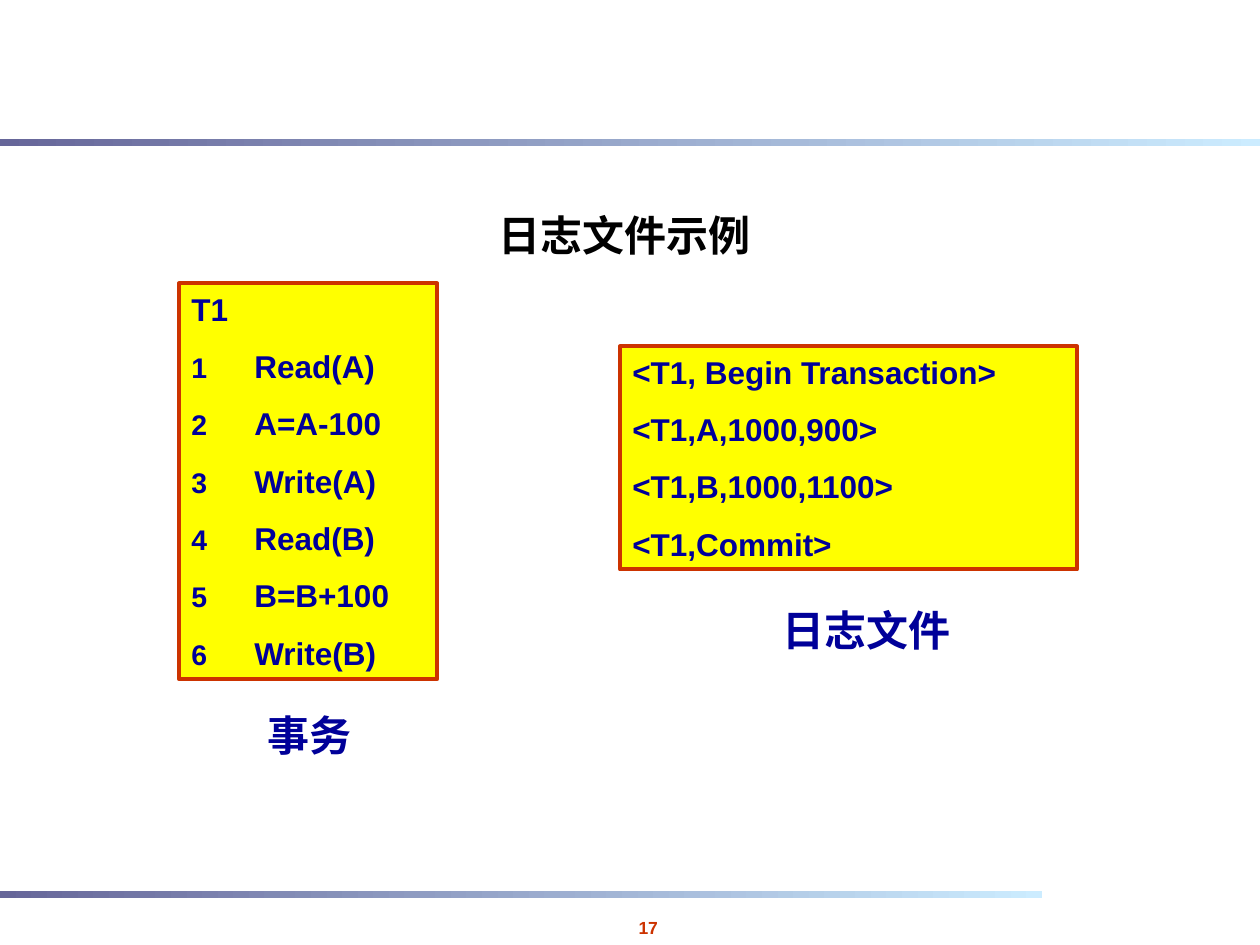
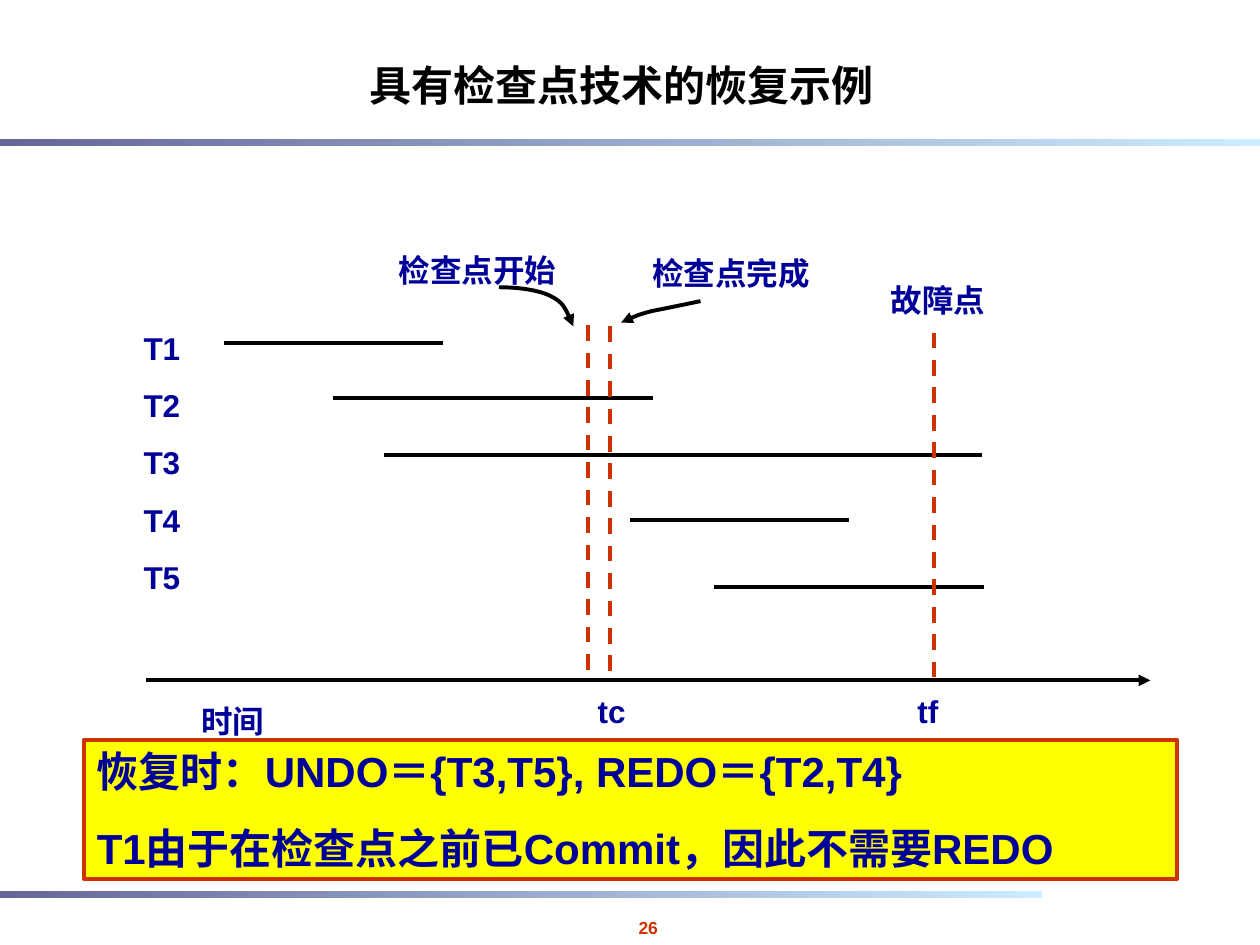
import pptx
import pptx.util
import pptx.dml.color
import pptx.enum.dml
import pptx.enum.shapes
import pptx.enum.text
import pptx.oxml
import pptx.oxml.ns
from dataclasses import dataclass

Inches = pptx.util.Inches
Pt = pptx.util.Pt
qn = pptx.oxml.ns.qn
RECT = pptx.enum.shapes.MSO_SHAPE.RECTANGLE
STRAIGHT = pptx.enum.shapes.MSO_CONNECTOR.STRAIGHT
ALIGN = pptx.enum.text.PP_ALIGN
ANCHOR = pptx.enum.text.MSO_ANCHOR
DASH = pptx.enum.dml.MSO_LINE.DASH


@dataclass(frozen=True)
class Theme:
    font: str = "Arial"
    title_font: str = "Noto Sans CJK SC"
    black: str = "000000"
    navy: str = "000099"
    red: str = "CC3300"
    yellow: str = "FFFF00"
    band_from: str = "666699"
    band_to: str = "CCECFF"
    large: int = 24
    body: int = 18
    small: int = 10
    line: float = 2.25
    gap: float = 0.62


def rgb(value):
    return pptx.dml.color.RGBColor.from_string(value)


def add_child(parent, tag, **attrs):
    child = parent.makeelement(qn(tag), attrs)
    parent.append(child)
    return child


class Deck:
    def __init__(self, theme):
        self.theme = theme
        self.prs = pptx.Presentation()
        self.prs.slide_width = Inches(10)
        self.prs.slide_height = Inches(7.5)
        self.shapes = None

    def slide(self, number, title, title_box):
        t = self.theme
        self.shapes = self.prs.slides.add_slide(self.prs.slide_layouts[6]).shapes
        self.label(str(number), (4.71, 7.23, 0.87, 0.27), t.small, t.red)
        self.band(1.1, 10)
        self.band(7.07, 8.27)
        sp = self.label(title, title_box, t.large, t.black, t.title_font)
        sp.text_frame.vertical_anchor = ANCHOR.BOTTOM

    def rect(self, box):
        sp = self.shapes.add_shape(RECT, *map(Inches, box))
        sp.shadow.inherit = False
        return sp

    def band(self, top, width):
        sp = self.rect((0, top, width, 0.06))
        sp.line.fill.background()
        sp.fill.gradient()
        sp.fill.gradient_angle = 0
        colors = (self.theme.band_from, self.theme.band_to)
        for stop, color in zip(sp.fill.gradient_stops, colors):
            stop.color.rgb = rgb(color)

    def set_text(self, sp, lines, size, color, align, font=None, numbered=False):
        tf = sp.text_frame
        tf.word_wrap = True
        tf.vertical_anchor = ANCHOR.TOP
        for i, line in enumerate(lines):
            p = tf.paragraphs[0] if i == 0 else tf.add_paragraph()
            p.text = line
            p.alignment = align
            if i:
                p.space_before = Pt(size * self.theme.gap)
            if numbered and i:
                self.number(p, color)
            p.font.name = font or self.theme.font
            p.font.size = Pt(size)
            p.font.bold = True
            p.font.color.rgb = rgb(color)

    def number(self, p, color):
        pPr = p._p.get_or_add_pPr()
        pPr.set("marL", str(Inches(0.5)))
        pPr.set("indent", str(-Inches(0.5)))
        add_child(add_child(pPr, "a:buClr"), "a:srgbClr", val=color)
        add_child(pPr, "a:buSzPct", val="90000")
        add_child(pPr, "a:buFont", typeface=self.theme.font)
        add_child(pPr, "a:buAutoNum", type="arabicPlain")

    def label(self, text, box, size=None, color=None, font=None):
        sp = self.shapes.add_textbox(*map(Inches, box))
        self.set_text(sp, text.split("\n"), size or self.theme.body,
                      color or self.theme.navy, ALIGN.CENTER, font)
        return sp

    def panel(self, lines, box, size, numbered=False):
        t = self.theme
        sp = self.rect(box)
        sp.fill.solid()
        sp.fill.fore_color.rgb = rgb(t.yellow)
        self.stroke(sp, t.red)
        self.set_text(sp, lines, size, t.navy, ALIGN.LEFT, numbered=numbered)

    def stroke(self, sp, color, arrow=False):
        sp.line.color.rgb = rgb(color)
        sp.line.width = Pt(self.theme.line)
        if arrow:
            add_child(sp._element.spPr.find(qn("a:ln")), "a:tailEnd", type="triangle")

    def line(self, start, end, color=None, dashed=False, arrow=False):
        cx = self.shapes.add_connector(STRAIGHT, *map(Inches, start + end))
        self.stroke(cx, color or self.theme.black, arrow)
        if dashed:
            cx.line.dash_style = DASH
        add_child(cx._element.spPr, "a:effectLst")

    def curve_arrow(self, points):
        start, *rest = [(Inches(x), Inches(y)) for x, y in points]
        builder = self.shapes.build_freeform(*start)
        builder.add_line_segments(rest, close=False)
        sp = builder.convert_to_shape()
        sp.shadow.inherit = False
        sp.fill.background()
        self.stroke(sp, self.theme.black, arrow=True)
        outline = next(sp._element.iter(qn("a:moveTo"))).getparent()
        segments = outline.findall(qn("a:lnTo"))
        for i in range(0, len(segments), 3):
            bezier = add_child(outline, "a:cubicBezTo")
            for segment in segments[i:i + 3]:
                bezier.append(segment[0])
                outline.remove(segment)


def log_file_slide(deck):
    t = deck.theme
    deck.slide(17, "日志文件示例", (3.58, 1.42, 2.75, 0.69))
    deck.panel(["<T1, Begin Transaction>", "<T1,A,1000,900>",
                "<T1,B,1000,1100>", "<T1,Commit>"],
               (4.92, 2.75, 3.63, 1.77), t.body)
    deck.panel(["T1", "Read(A)", "A=A-100", "Write(A)",
                "Read(B)", "B=B+100", "Write(B)"],
               (1.42, 2.25, 2.05, 3.14), t.body, numbered=True)
    deck.label("事务", (1.58, 5.58, 1.76, 0.5), t.large)
    deck.label("日志文件", (6, 4.75, 1.76, 0.5), t.large)


def checkpoint_slide(deck):
    t = deck.theme
    deck.slide(26, "具有检查点技术的恢复示例", (2.08, 0.5, 5.7, 0.42))
    deck.panel(["恢复时：UNDO＝{T3,T5}, REDO＝{T2,T4}",
                "T1由于在检查点之前已Commit，因此不需要REDO"],
               (0.67, 5.87, 8.67, 1.11), t.large)

    transactions = [(1.78, 3.52, 2.72), (2.64, 5.18, 3.16), (3.05, 7.79, 3.61),
                    (5, 6.74, 4.13), (5.67, 7.81, 4.66)]
    for begin, end, y in transactions:
        deck.line((begin, y), (end, y))
    names = "\n".join(f"T{i}" for i in range(1, len(transactions) + 1))
    deck.label(names, (1, 2.56, 0.57, 2.23))

    deck.line((1.16, 5.4), (9.13, 5.4), arrow=True)
    for x, top in [(4.67, 2.58), (4.84, 2.59), (7.41, 2.64)]:
        deck.line((x, top), (x, top + 2.78), t.red, dashed=True)

    for text, left, top, width in [("检查点开始", 2.99, 1.94, 1.6),
                                   ("检查点完成", 5, 1.97, 1.6),
                                   ("故障点", 6.89, 2.18, 1.11),
                                   ("tc", 4.3, 5.44, 1.11),
                                   ("tf", 6.81, 5.44, 1.11),
                                   ("时间", 1.29, 5.52, 1.11)]:
        deck.label(text, (left, top, width, 0.4))

    deck.curve_arrow([(3.96, 2.28), (4.11, 2.28), (4.27, 2.3), (4.37, 2.35),
                      (4.47, 2.4), (4.51, 2.49), (4.55, 2.59)])
    deck.curve_arrow([(5.56, 2.39), (5.42, 2.42), (5.27, 2.45), (5.17, 2.47),
                      (5.06, 2.5), (4.99, 2.53), (4.93, 2.56)])


def main():
    deck = Deck(Theme())
    log_file_slide(deck)
    checkpoint_slide(deck)
    deck.prs.save("out.pptx")


if __name__ == "__main__":
    main()
